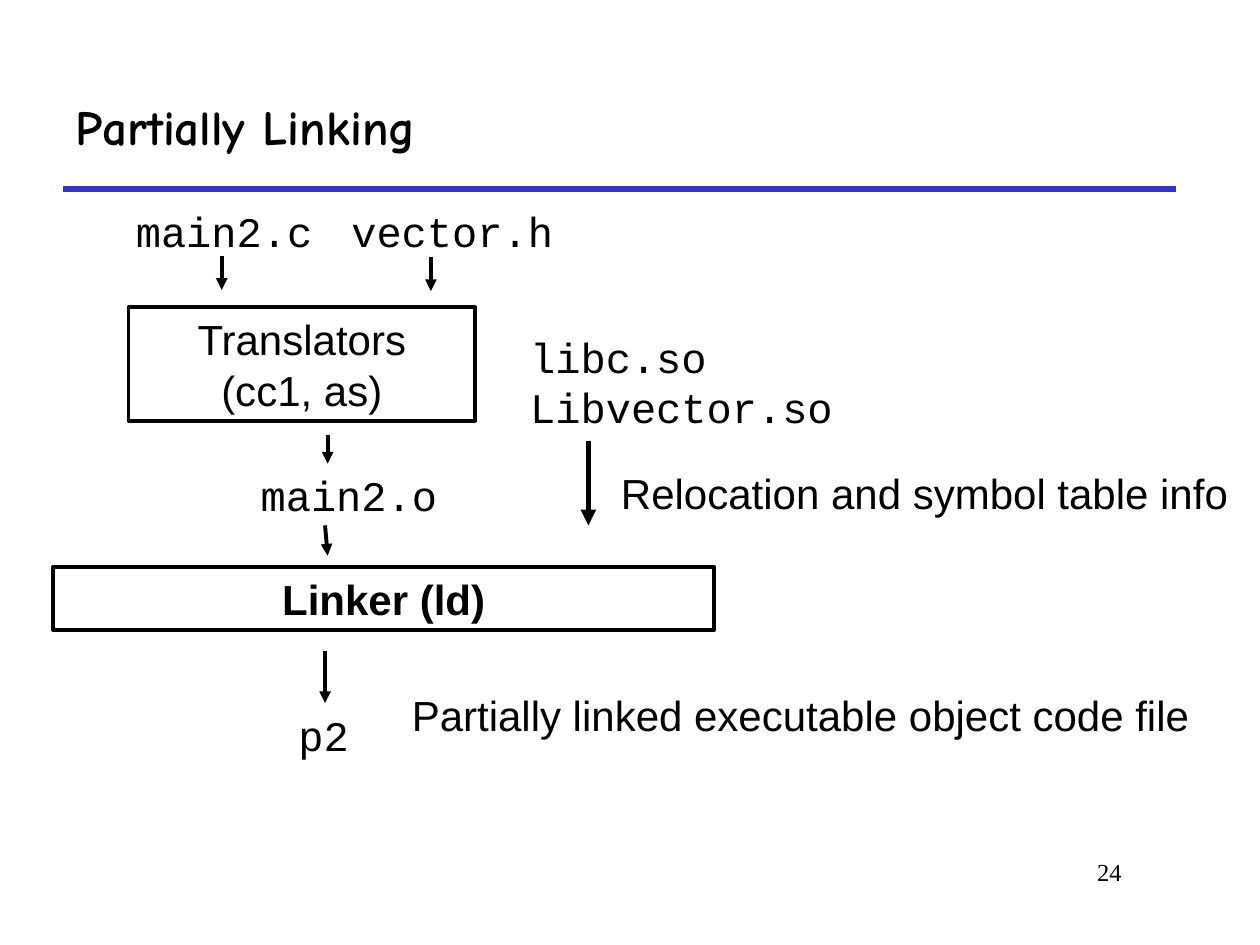
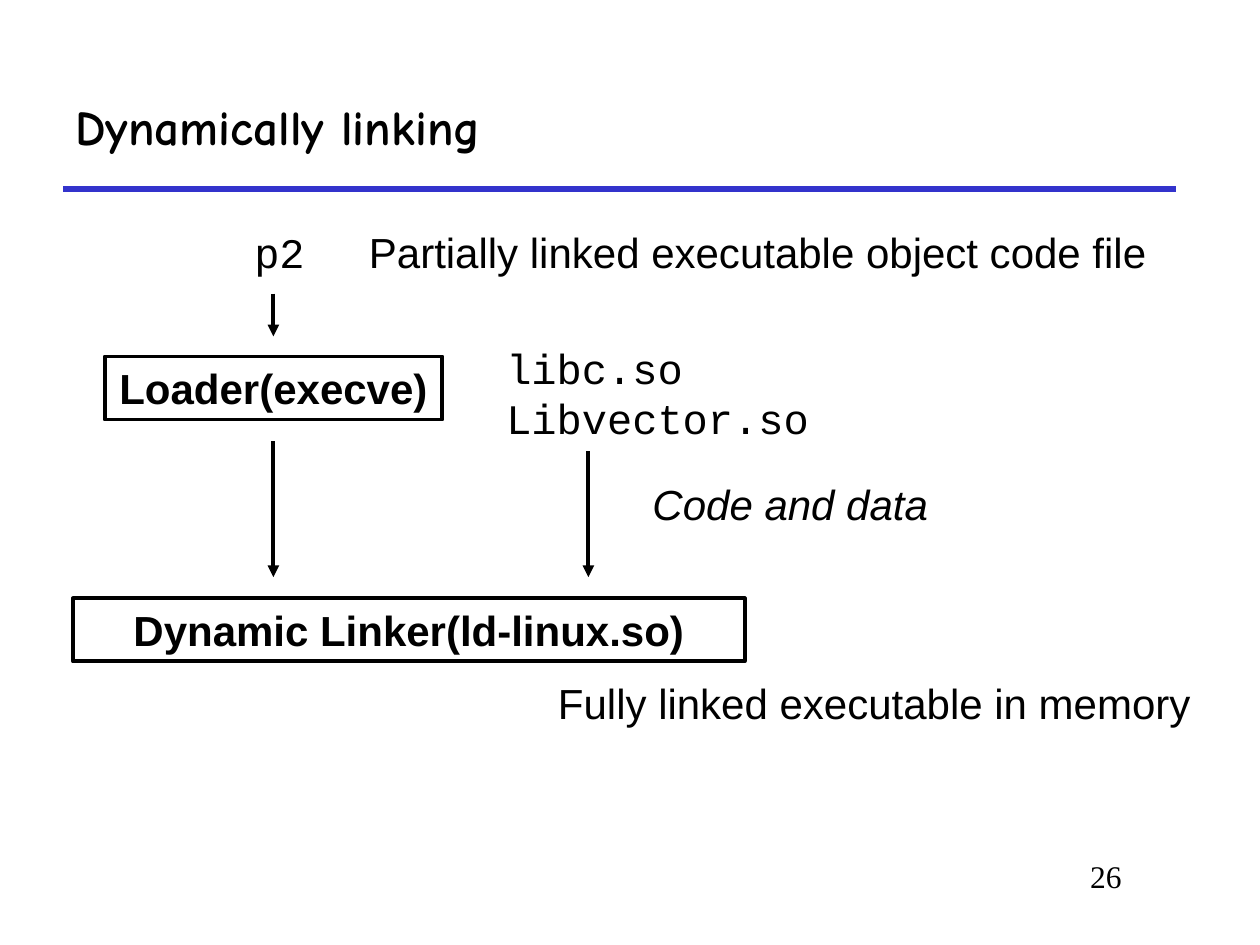
from lxml.etree import SubElement as Sub
from pptx import Presentation as Deck
from pptx.dml.color import RGBColor as Rgb
from pptx.enum.shapes import MSO_CONNECTOR as Conn, MSO_SHAPE as Form
from pptx.enum.text import MSO_ANCHOR as Anchor, PP_ALIGN as Align
from pptx.oxml.ns import qn
from pptx.util import Inches, Pt

INK = {"text": "000000", "rule": "3333CC"}
SANS, MONO, HEAD, FOOT = "Arial", "Courier New", "Comic Neue", "Times New Roman"
PARTIAL = "Partially linked executable object code file"


def style(frame, text, font=SANS, size=24, bold=False, italic=False, align=Align.LEFT):
    """Fill a text frame and format its runs."""
    frame.text = text
    for para in frame.paragraphs:
        para.alignment = align
        for run in para.runs:
            run.font.name = font
            run.font.size = Pt(size)
            run.font.bold = bold
            run.font.italic = italic
            run.font.color.rgb = Rgb.from_string(INK["text"])


def label(slide, spot, text, wrap=True, **look):
    """Add a text box at spot: left, top, width, height."""
    frame = slide.shapes.add_textbox(*map(Inches, spot)).text_frame
    frame.word_wrap = wrap
    style(frame, text, **look)
    return frame


def code(slide, left, top, width, text, high=0.5):
    """Add file names in the code font, without wrapping."""
    label(slide, (left, top, width, high), text, wrap=False, font=MONO)


def box(slide, spot, text, bold=True):
    """Add an outlined tool box with centred text."""
    shape = slide.shapes.add_shape(Form.RECTANGLE, *map(Inches, spot))
    shape.shadow.inherit = False
    shape.fill.background()
    shape.line.color.rgb = Rgb.from_string(INK["text"])
    shape.line.width = Pt(2.25)
    shape.text_frame.vertical_anchor = Anchor.TOP
    style(shape.text_frame, text, bold=bold, align=Align.CENTER)


def line(slide, start, end, width=2.25, ink="text"):
    """Add a plain straight line."""
    link = slide.shapes.add_connector(Conn.STRAIGHT, *map(Inches, start + end))
    link.line.color.rgb = Rgb.from_string(INK[ink])
    link.line.width = Pt(width)
    Sub(link.element.spPr, qn("a:effectLst"))
    return link


def arrow(slide, start, end, width=2.25):
    """Add a line with a triangle at its end."""
    link = line(slide, start, end, width)
    Sub(link.line._get_or_add_ln(), qn("a:tailEnd"), type="triangle")


def page(deck, title, number, size):
    """Add a slide with its title, rule and page number."""
    slide = deck.slides.add_slide(deck.slide_layouts[6])
    line(slide, (0.5, 1.5), (9.33, 1.5), 3, "rule")
    label(slide, (7.58, 6.75, 1.42, 0.5), number, font=FOOT, size=size, align=Align.RIGHT)
    head = label(slide, (0.5, 0.5, 8.83, 1), title, font=HEAD, size=28, bold=True)
    head.vertical_anchor = Anchor.MIDDLE
    return slide


def partial(deck):
    """Build the slide on partial linking."""
    slide = page(deck, "Partially Linking", "24", 14)
    code(slide, 0.98, 1.58, 1.6, "main2.c")
    code(slide, 2.69, 1.58, 1.8, "vector.h")
    arrow(slide, (1.76, 2.03), (1.76, 2.3))
    arrow(slide, (3.42, 2.04), (3.42, 2.31))
    box(slide, (1.02, 2.44, 2.75, 0.9), "Translators\n(cc1, as)", bold=False)
    arrow(slide, (2.6, 3.45), (2.6, 3.68))
    code(slide, 1.97, 3.68, 1.6, "main2.o")
    arrow(slide, (2.58, 4.17), (2.6, 4.41))
    code(slide, 4.11, 2.58, 2.6, "libc.so\nLibvector.so", high=0.9)
    arrow(slide, (4.67, 3.5), (4.67, 4.17), 3)
    label(slide, (4.83, 3.66, 5.08, 0.5), "Relocation and symbol table info")
    box(slide, (0.42, 4.5, 5.25, 0.5), "Linker (ld)")
    arrow(slide, (2.58, 5.17), (2.58, 5.58))
    code(slide, 2.27, 5.58, 0.6, "p2")
    label(slide, (3.17, 5.42, 6.5, 0.5), PARTIAL)


def dynamic(deck):
    """Build the slide on dynamic linking."""
    slide = page(deck, "Dynamically linking", "26", 18)
    code(slide, 1.92, 1.75, 0.6, "p2")
    label(slide, (2.83, 1.75, 6.67, 0.5), PARTIAL)
    arrow(slide, (2.17, 2.33), (2.17, 2.67))
    box(slide, (0.83, 2.83, 2.68, 0.5), "Loader(execve)")
    arrow(slide, (2.17, 3.5), (2.17, 4.58))
    label(slide, (3.92, 2.67, 3.67, 0.9), "libc.so Libvector.so", font=MONO)
    arrow(slide, (4.67, 3.58), (4.67, 4.58))
    label(slide, (5.08, 3.75, 2.75, 0.5), "Code and data", italic=True)
    box(slide, (0.58, 4.75, 5.33, 0.5), "Dynamic Linker(ld-linux.so)")
    label(slide, (4.33, 5.33, 5.25, 0.5), "Fully linked executable in memory")


def main():
    """Build and save the deck."""
    deck = Deck()
    deck.slide_width, deck.slide_height = Inches(10), Inches(7.5)
    partial(deck)
    dynamic(deck)
    deck.save("out.pptx")


if __name__ == "__main__":
    main()
